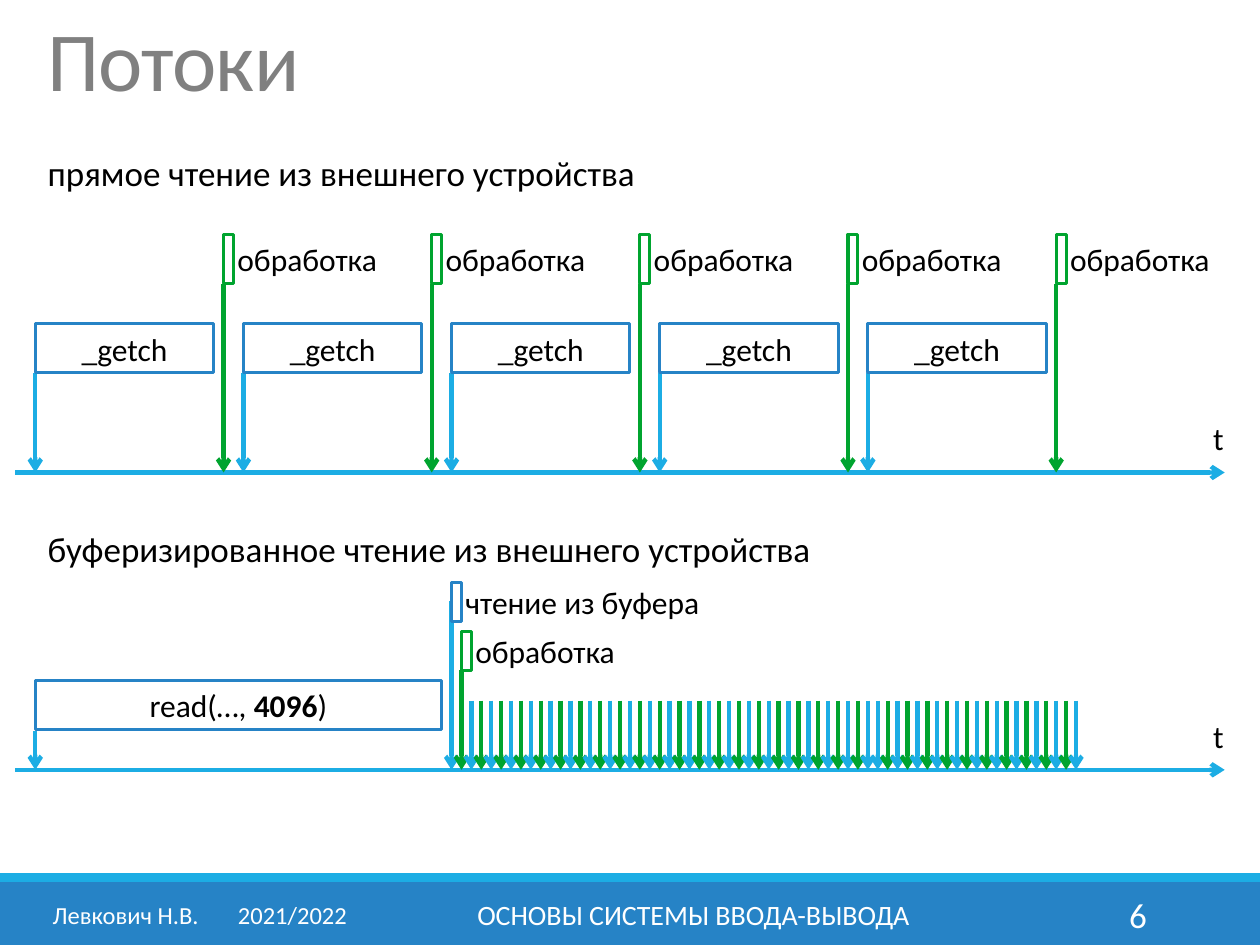
from lxml import etree
from pptx import Presentation
from pptx.dml.color import RGBColor
from pptx.enum.shapes import MSO_CONNECTOR, MSO_SHAPE
from pptx.enum.text import MSO_ANCHOR, PP_ALIGN
from pptx.oxml.ns import qn
from pptx.util import Inches, Pt

RECT, STRAIGHT = MSO_SHAPE.RECTANGLE, MSO_CONNECTOR.STRAIGHT
TOP, MIDDLE = MSO_ANCHOR.TOP, MSO_ANCHOR.MIDDLE
LEFT, CENTER, RIGHT = PP_ALIGN.LEFT, PP_ALIGN.CENTER, PP_ALIGN.RIGHT

BLACK, WHITE = RGBColor(0, 0, 0), RGBColor(255, 255, 255)
GRAY = RGBColor(0x80, 0x80, 0x80)
CYAN = RGBColor(0x1C, 0xAD, 0xE4)
BLUE = RGBColor(0x26, 0x83, 0xC6)
GREEN = RGBColor(0x00, 0xA4, 0x2F)

# Time is counted in equal steps along both axes.
START, END, STEPS = 0.28, 8.54, 105
STEP = (END - START) / STEPS
CYCLES, CYCLE, GETCH, PROCESS_AT = 5, 21, 18, 19
READ, BUFFER_AT, TICK_SWAP = 41, 42, 85
DIRECT_Y, BUFFERED_Y, TICK_TOP = 3.75, 6.11, 5.56
BOX_H, SMALL_H, LABEL_INDENT = 0.39, 0.31, 0.11

# left, top, width, height, text, size
HEADINGS = [
    (0.28, 1.15, 7.17, 0.44, "прямое чтение из внешнего устройства", 20),
    (0.28, 4.14, 7.17, 0.44, "буферизированное чтение из внешнего устройства", 20),
    (9.53, 3.28, 0.47, 0.4, "t", 18),
    (9.53, 5.64, 0.47, 0.4, "t", 18),
]
# left, width, text, size, alignment
FOOTER = [
    (0.32, 2.61, "Левкович Н.В.\t2021/2022", 14, LEFT),
    (3.02, 4.97, "ОСНОВЫ СИСТЕМЫ ВВОДА-ВЫВОДА", 16, CENTER),
    (8.12, 1.08, "6", 20, RIGHT),
]
FOOTER_TAB = 1.47

prs = Presentation()
prs.slide_width, prs.slide_height = Inches(10), Inches(7.5)
s = prs.slides.add_slide(prs.slide_layouts[6])


def at(step):
    """Position in inches of a time step."""
    return START + step * STEP


def write(sp, runs, size, color=BLACK, align=LEFT, anchor=TOP, wrap=True):
    """Fill a shape with one paragraph; runs are (text, bold) pairs."""
    tf = sp.text_frame
    tf.word_wrap, tf.vertical_anchor = wrap, anchor
    p = tf.paragraphs[0]
    p.alignment = align
    for text, bold in runs:
        r = p.add_run()
        r.text = text
        r.font.name, r.font.size, r.font.bold = "Calibri", Pt(size), bold
        r.font.color.rgb = color
    return p


def add_text(x, y, w, h, text, size, **style):
    tb = s.shapes.add_textbox(Inches(x), Inches(y), Inches(w), Inches(h))
    return write(tb, [(text, False)], size, **style)


def add_rect(x, y, w, h, fill=None, line=None):
    sp = s.shapes.add_shape(RECT, Inches(x), Inches(y), Inches(w), Inches(h))
    sp.shadow.inherit = False
    if fill is None:
        sp.fill.background()
    else:
        sp.fill.solid()
        sp.fill.fore_color.rgb = fill
    if line is None:
        sp.line.fill.background()
    else:
        sp.line.color.rgb, sp.line.width = line, Pt(1.75)
    return sp


def add_arrow(x1, y1, x2, y2, color):
    """Line with its arrowhead at the second point."""
    c = s.shapes.add_connector(STRAIGHT, Inches(x1), Inches(y1), Inches(x2), Inches(y2))
    c.line.color.rgb, c.line.width = color, Pt(2.5)
    etree.SubElement(c.line._get_or_add_ln(), qn("a:tailEnd"), type="arrow")
    etree.SubElement(c._element.spPr, qn("a:effectLst"))


def add_call(step, y, length, runs):
    box = add_rect(at(step), y, length * STEP, BOX_H, line=BLUE)
    write(box, runs, 18, align=CENTER, anchor=MIDDLE)


def add_short_step(step, y, h, text, color, fill=None):
    """Box one step wide whose label runs out to its right."""
    box = add_rect(at(step), y, STEP, h, fill, color)
    box.text_frame.margin_left = box.text_frame.margin_right = 0
    p = write(box, [(text, False)], 18, anchor=MIDDLE, wrap=False)
    pPr = p._p.get_or_add_pPr()
    pPr.set("marL", str(Inches(LABEL_INDENT)))
    pPr.set("indent", "0")


# Title and headings
title = add_text(0.28, 0.13, 9.45, 0.87, "Потоки", 48, color=GRAY)
title.line_spacing = 0.85
title.runs[0].font._element.set("spc", "-50")
for heading in HEADINGS:
    add_text(*heading)

# Time axes
for y in (DIRECT_Y, BUFFERED_Y):
    add_arrow(0.12, y, 9.72, y, CYAN)

# Direct reading
for start in range(0, CYCLES * CYCLE, CYCLE):
    done = start + PROCESS_AT
    add_arrow(at(start), 2.96, at(start), DIRECT_Y, CYAN)
    add_call(start, 2.57, GETCH, [("_getch", False)])
    add_arrow(at(done), 2.25, at(done), DIRECT_Y, GREEN)
    add_short_step(done, 1.86, BOX_H, "обработка", GREEN)

# Buffered reading
add_arrow(at(0), 5.8, at(0), BUFFERED_Y, CYAN)
add_call(0, 5.4, READ, [("read(…, ", False), ("4096", True), (")", False)])
add_arrow(at(BUFFER_AT), 4.77, at(BUFFER_AT), BUFFERED_Y, CYAN)
add_short_step(BUFFER_AT, 4.62, SMALL_H, "чтение из буфера", BLUE, WHITE)
add_arrow(at(BUFFER_AT + 1), 5.32, at(BUFFER_AT + 1), BUFFERED_Y, GREEN)
add_short_step(BUFFER_AT + 1, 5.01, SMALL_H, "обработка", GREEN, WHITE)
for step in range(BUFFER_AT + 2, STEPS + 1):
    reads = step % 2 == (step >= TICK_SWAP)  # the order shifts by one at the swap
    add_arrow(at(step), TICK_TOP, at(step), BUFFERED_Y, CYAN if reads else GREEN)

# Footer
add_rect(0, 7, 10, 0.5, BLUE)
add_rect(0, 6.93, 10, 0.07, CYAN)
for x, w, text, size, align in FOOTER:
    p = add_text(x, 7.06, w, 0.4, text, size, color=WHITE, align=align, anchor=MIDDLE)
    if "\t" in text:
        tabs = etree.SubElement(p._p.get_or_add_pPr(), qn("a:tabLst"))
        etree.SubElement(tabs, qn("a:tab"), pos=str(Inches(FOOTER_TAB)), algn="l")

prs.save("out.pptx")
